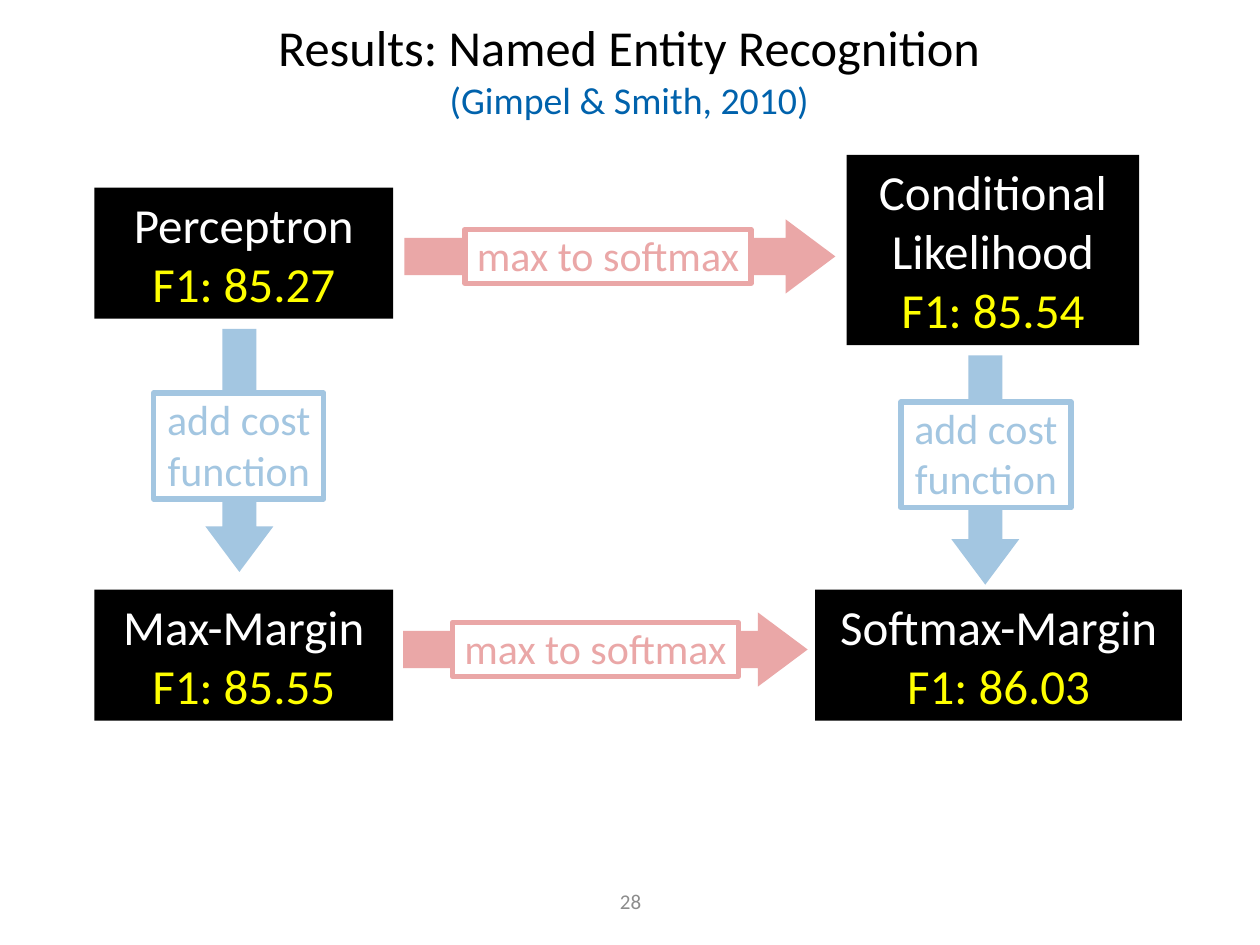
"""Build the slide of named entity recognition results."""
from dataclasses import dataclass

from lxml import etree
from pptx import Presentation
from pptx.dml.color import RGBColor
from pptx.enum.shapes import MSO_SHAPE
from pptx.enum.text import MSO_ANCHOR, MSO_AUTO_SIZE, PP_ALIGN
from pptx.oxml.ns import qn
from pptx.util import Inches, Pt

RECTANGLE = MSO_SHAPE.RECTANGLE
DOWN, RIGHT = MSO_SHAPE.DOWN_ARROW, MSO_SHAPE.RIGHT_ARROW
MIDDLE, CENTER = MSO_ANCHOR.MIDDLE, PP_ALIGN.CENTER
GROW, FIXED = MSO_AUTO_SIZE.SHAPE_TO_FIT_TEXT, MSO_AUTO_SIZE.NONE
COLUMNS, ROWS = 100, 75
TITLE_ONLY = 5


@dataclass(frozen=True)
class Theme:
    font: str = "Calibri"
    black: str = "000000"
    white: str = "FFFFFF"
    score: str = "FFFF00"
    cost: str = "0062AC"
    softmax: str = "C50C0C"
    muted: str = "8C8C8C"
    title_size: float = 28.8
    citation_size: float = 21.6
    model_size: float = 28
    label_size: float = 24
    number_size: float = 12
    border: float = 3
    veil_opacity: int = 64


class ResultSlide:
    def __init__(self, deck, theme):
        self.theme = theme
        self.slide = deck.slides.add_slide(deck.slide_layouts[TITLE_ONLY])
        self.column = deck.slide_width / COLUMNS
        self.row = deck.slide_height / ROWS

    def place(self, left, top, width, height):
        return (round(left * self.column), round(top * self.row),
                round(width * self.column), round(height * self.row))

    def shape(self, kind, area, fill):
        shape = self.slide.shapes.add_shape(kind, *self.place(*area))
        shape.shadow.inherit = False
        shape.fill.solid()
        shape.fill.fore_color.rgb = RGBColor.from_string(fill)
        shape.line.fill.background()
        return shape

    def frame(self, frame, **values):
        settings = {"word_wrap": True, "vertical_anchor": MIDDLE, "auto_size": GROW}
        for name, value in (settings | values).items():
            setattr(frame, name, value)
        return frame

    def run(self, paragraph, text, size, color):
        paragraph.alignment = CENTER
        run = paragraph.add_run()
        run.text = text
        for name, value in {"name": self.theme.font, "size": Pt(size)}.items():
            setattr(run.font, name, value)
        run.font.color.rgb = RGBColor.from_string(color)

    def title(self, heading, citation, area):
        title = self.slide.shapes.title
        title.left, title.top, title.width, title.height = self.place(*area)
        paragraph = self.frame(title.text_frame, auto_size=FIXED).paragraphs[0]
        self.run(paragraph, heading, self.theme.title_size, self.theme.black)
        paragraph.add_line_break()
        self.run(paragraph, citation, self.theme.citation_size, self.theme.cost)

    def number(self, text, area):
        box = self.slide.shapes.add_textbox(*self.place(*area))
        frame = self.frame(box.text_frame, auto_size=FIXED)
        self.run(frame.paragraphs[0], text, self.theme.number_size, self.theme.muted)

    def arrow(self, kind, area, color):
        arrow = self.shape(kind, area, color)
        arrow.adjustments[0] = 0.5
        arrow.adjustments[1] = 0.67

    def label(self, text, area, color):
        label = self.shape(RECTANGLE, area, self.theme.white)
        label.line.color.rgb = RGBColor.from_string(color)
        label.line.width = Pt(self.theme.border)
        frame = self.frame(label.text_frame, margin_left=0, margin_right=0,
                           margin_top=0, margin_bottom=Inches(0.03))
        self.run(frame.paragraphs[0], text, self.theme.label_size, color)

    def veil(self, area):
        veil = self.shape(RECTANGLE, area, self.theme.white)
        color = veil.fill._xPr.find(qn("a:solidFill"))[0]
        opacity = etree.SubElement(color, qn("a:alpha"))
        opacity.set("val", str(self.theme.veil_opacity * 1000))

    def model(self, names, score, area):
        box = self.shape(RECTANGLE, area, self.theme.black)
        frame = self.frame(box.text_frame)
        lines = [(name, self.theme.white) for name in names]
        lines.append((f"F1: {score}", self.theme.score))
        for index, (text, color) in enumerate(lines):
            paragraph = frame.add_paragraph() if index else frame.paragraphs[0]
            self.run(paragraph, text, self.theme.model_size, color)


def main():
    deck = Presentation()
    deck.slide_width, deck.slide_height = Inches(10), Inches(7.5)
    theme = Theme()
    page = ResultSlide(deck, theme)

    page.title("Results: Named Entity Recognition", "(Gimpel & Smith, 2010)",
               (3.3, 1.7, 93.3, 7.5))
    page.number("28", (34.2, 69.5, 31.7, 4))

    for left, top, height, label_left, label_top in (
            (16.3, 26.1, 19.3, 12.2, 31.2), (75.5, 28.2, 18.2, 71.5, 31.9)):
        page.arrow(DOWN, (left, top, 5.4, height), theme.cost)
        page.label("add cost function", (label_left, label_top, 13.5, 8.4), theme.cost)
    for left, top, width, label_left in (
            (32.1, 17.4, 34.2, 36.9), (32, 48.6, 32.1, 35.9)):
        page.arrow(RIGHT, (left, top, width, 5.9), theme.softmax)
        page.label("max to softmax", (label_left, top + 0.8, 22.7, 4.3), theme.softmax)
    page.veil((8.8, 12.6, 84.3, 46.1))

    for names, score, area in (
            (["Softmax-Margin"], "86.03", (64.7, 46.8, 29.1, 10.4)),
            (["Conditional", "Likelihood"], "85.54", (67.2, 12.3, 23.2, 15.1)),
            (["Max-Margin"], "85.55", (7.5, 46.8, 23.7, 10.4)),
            (["Perceptron"], "85.27", (7.5, 14.9, 23.7, 10.4))):
        page.model(names, score, area)

    deck.save("out.pptx")


if __name__ == "__main__":
    main()
